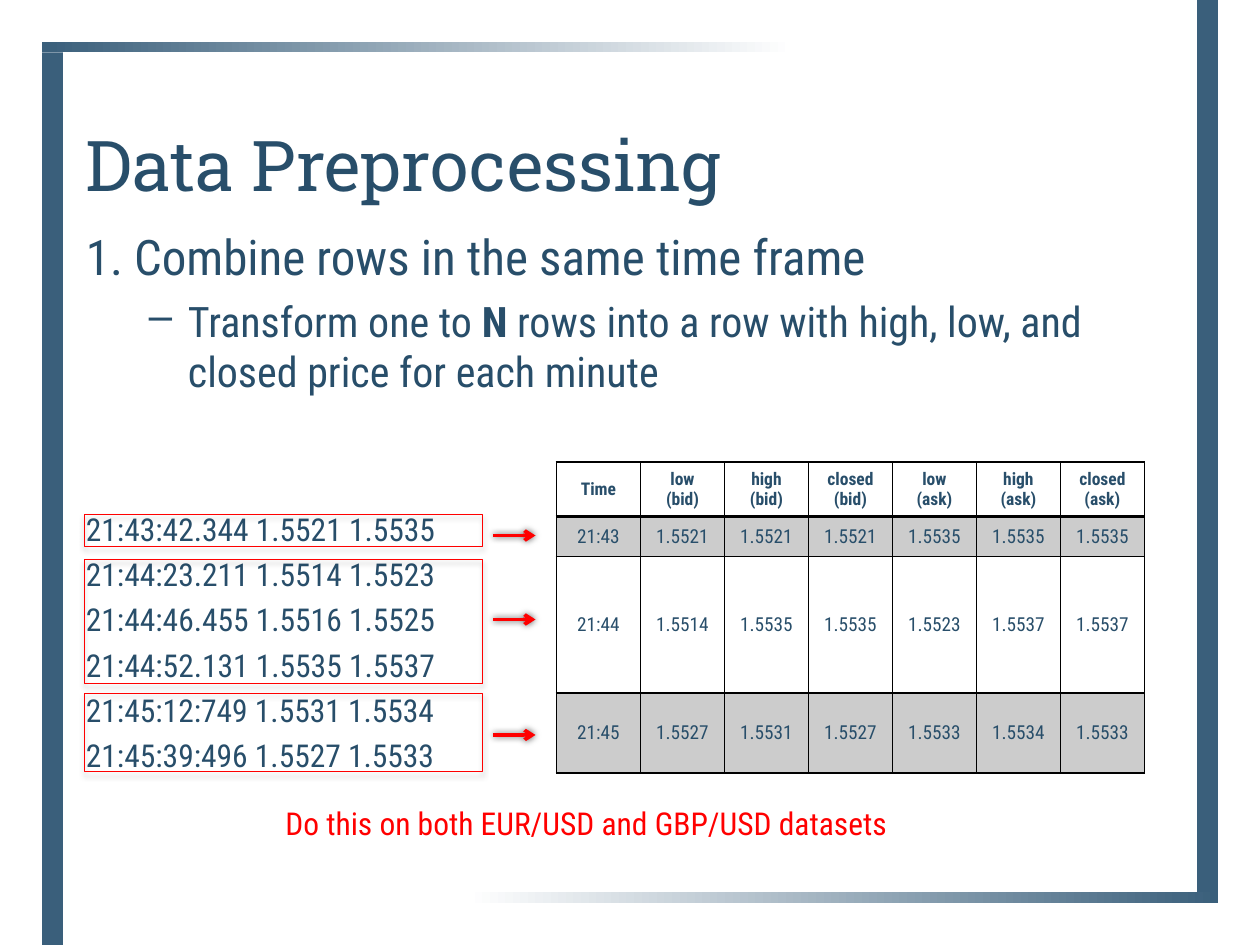
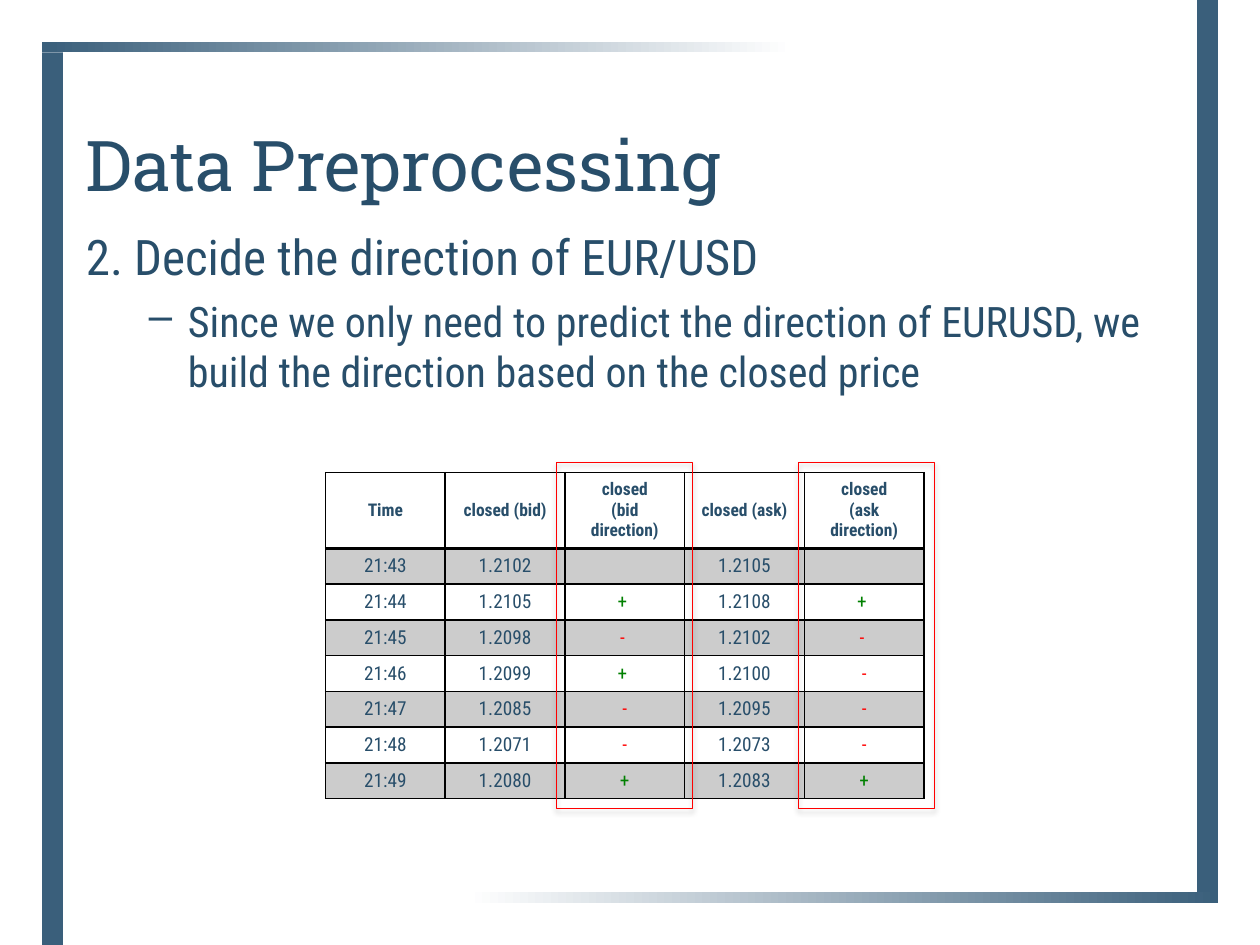
from pptx import Presentation
from pptx.dml.color import RGBColor
from pptx.enum.shapes import MSO_CONNECTOR, MSO_SHAPE
from pptx.enum.text import MSO_ANCHOR, PP_ALIGN
from pptx.oxml import parse_xml
from pptx.oxml.ns import nsdecls
from pptx.util import Inches, Pt

HEADING_FONT = "Roboto Slab"
BODY_FONT = "Roboto Condensed"
INK, FRAME, RED, GREEN = "284E6A", "3A5F7B", "FF0000", "008000"
BLACK, WHITE, STRIPE = "000000", "FFFFFF", "CCCCCC"

TICKS = [
    "21:43:42.344 1.5521 1.5535",
    "21:44:23.211 1.5514 1.5523",
    "21:44:46.455 1.5516 1.5525",
    "21:44:52.131 1.5535 1.5537",
    "21:45:12:749 1.5531 1.5534",
    "21:45:39:496 1.5527 1.5533",
]
MINUTE_PRICES = [
    ["Time", "low (bid)", "high (bid)", "closed (bid)",
     "low (ask)", "high (ask)", "closed (ask)"],
    ["21:43", "1.5521", "1.5521", "1.5521", "1.5535", "1.5535", "1.5535"],
    ["21:44", "1.5514", "1.5535", "1.5535", "1.5523", "1.5537", "1.5537"],
    ["21:45", "1.5527", "1.5531", "1.5527", "1.5533", "1.5534", "1.5533"],
]
DIRECTIONS = [
    ["Time", "closed (bid)", "closed\n(bid direction)",
     "closed (ask)", "closed\n(ask direction)"],
    ["21:43", "1.2102", "", "1.2105", ""],
    ["21:44", "1.2105", "+ ", "1.2108", "+ "],
    ["21:45", "1.2098", "- ", "1.2102", "- "],
    ["21:46", "1.2099", "+ ", "1.2100", "-"],
    ["21:47", "1.2085", "-", "1.2095", "-"],
    ["21:48", "1.2071", "-", "1.2073", "-"],
    ["21:49", "1.2080", "+", "1.2083", "+"],
]
SIGN_COLORS = {"+": GREEN, "-": RED}


def grid(units):
    """Length of a number of grid units, twelve to the inch."""
    return Inches(units / 12)


def rgb(color):
    return RGBColor.from_string(color)


def write(paragraph, text, size, font=BODY_FONT, color=INK, bold=False,
          align=PP_ALIGN.LEFT, spaced=False):
    """Fill a paragraph; a part between asterisks is bold."""
    paragraph.alignment = align
    if spaced:
        paragraph.space_before = Pt(round(size * 0.234, 1))
    for position, part in enumerate(text.split("*")):
        if part:
            run = paragraph.add_run()
            run.text = part
            run.font.name = font
            run.font.size = Pt(size)
            run.font.bold = bold or position % 2 == 1
            run.font.color.rgb = rgb(color)
    if not text:
        paragraph._p.get_or_add_endParaRPr().set("sz", str(size * 100))


def write_lines(frame, lines, **text_format):
    for number, line in enumerate(lines):
        paragraph = frame.add_paragraph() if number else frame.paragraphs[0]
        write(paragraph, line, **text_format)


def add_text(slide, area, lines, anchor=MSO_ANCHOR.TOP, **text_format):
    frame = slide.shapes.add_textbox(*map(grid, area)).text_frame
    frame.word_wrap = True
    frame.vertical_anchor = anchor
    write_lines(frame, lines, **text_format)
    return frame


def add_dash(paragraph):
    """Make the paragraph a hanging second-level item."""
    properties = paragraph._p.get_or_add_pPr()
    properties.set("marL", str(Inches(0.81)))
    properties.set("indent", str(Inches(-0.31)))
    properties.append(parse_xml(f'<a:buChar {nsdecls("a")} char="–"/>'))


def add_shadow(shape, opacity, blur, distance, angle):
    shape._element.spPr.append(parse_xml(
        f'<a:effectLst {nsdecls("a")}>'
        f'<a:outerShdw blurRad="{Pt(blur)}" dist="{Pt(distance)}" '
        f'dir="{angle * 60000}" rotWithShape="0">'
        f'<a:srgbClr val="{BLACK}"><a:alpha val="{opacity * 1000}"/>'
        '</a:srgbClr></a:outerShdw></a:effectLst>'))


def add_band(slide, area, fade_angle=None):
    """Frame bar, solid or fading to white along the given angle."""
    band = slide.shapes.add_shape(MSO_SHAPE.RECTANGLE, *map(grid, area))
    band.shadow.inherit = False
    band.line.fill.background()
    if fade_angle is None:
        band.fill.solid()
        band.fill.fore_color.rgb = rgb(FRAME)
        return
    band.fill.gradient()
    band.fill.gradient_angle = fade_angle
    for stop, color, position in zip(band.fill.gradient_stops,
                                     (FRAME, WHITE), (0, 0.65)):
        stop.color.rgb = rgb(color)
        stop.position = position


def add_highlight(slide, area):
    box = slide.shapes.add_shape(MSO_SHAPE.RECTANGLE, *map(grid, area))
    box.fill.background()
    box.line.color.rgb = rgb(RED)
    box.line.width = Pt(0.5)
    add_shadow(box, opacity=35, blur=3.1, distance=2, angle=90)


def add_arrow(slide, left, right, y):
    arrow = slide.shapes.add_connector(
        MSO_CONNECTOR.STRAIGHT, *map(grid, (left, y, right, y)))
    arrow.line.color.rgb = rgb(RED)
    arrow.line.width = Pt(2)
    arrow.line._get_or_add_ln().append(
        parse_xml(f'<a:tailEnd {nsdecls("a")} type="arrow"/>'))
    add_shadow(arrow, opacity=64, blur=4, distance=0, angle=0)


def add_borders(cell, bottom):
    properties = cell._tc.get_or_add_tcPr()
    for side, width in zip("LRTB", (1, 1, 1, bottom)):
        properties.append(parse_xml(
            f'<a:ln{side} {nsdecls("a")} w="{Pt(width)}"><a:solidFill>'
            f'<a:srgbClr val="{BLACK}"/></a:solidFill></a:ln{side}>'))


def add_price_table(slide, left, top, column_width, row_heights, rows):
    columns = len(rows[0])
    table = slide.shapes.add_table(
        len(rows), columns, grid(left), grid(top),
        grid(column_width * columns), grid(sum(row_heights))).table
    table.first_row = table.horz_banding = False
    for column in table.columns:
        column.width = grid(column_width)
    for r, (height, values) in enumerate(zip(row_heights, rows)):
        table.rows[r].height = grid(height)
        header = r == 0
        for c, value in enumerate(values):
            cell = table.cell(r, c)
            cell.vertical_anchor = MSO_ANCHOR.MIDDLE
            add_borders(cell, bottom=2 if header else 1)
            if r % 2:
                cell.fill.solid()
                cell.fill.fore_color.rgb = rgb(STRIPE)
            else:
                cell.fill.background()
            write_lines(cell.text_frame, value.split("\n"),
                        size=10 if header else 11, bold=header,
                        color=SIGN_COLORS.get(value.strip(), INK),
                        align=PP_ALIGN.CENTER)


def add_step_slide(deck, step, detail):
    """Slide with the shared frame and title, a step and its detail."""
    slide = deck.slides.add_slide(deck.slide_layouts[6])
    add_band(slide, (114, 0, 2, 85))
    add_band(slide, (4, 5, 2, 85))
    add_band(slide, (6, 85, 110, 1), fade_angle=180)
    add_band(slide, (4, 4, 110, 1), fade_angle=0)
    add_text(slide, (7, 6, 106, 14.2), ["Data Preprocessing"],
             anchor=MSO_ANCHOR.BOTTOM, size=40, font=HEADING_FONT)
    body = add_text(slide, (7, 21, 106, 58), [step], size=28, spaced=True)
    item = body.add_paragraph()
    write(item, detail, size=24, spaced=True)
    add_dash(item)
    return slide


def build_combine_slide(deck):
    slide = add_step_slide(
        deck, "1. Combine rows in the same time frame",
        "Transform one to *N* rows into a row with high, low, and "
        "closed price for each minute")
    add_text(slide, (7, 48, 44, 28), TICKS, size=18, spaced=True)
    minutes = [(49, 3, 51), (53.3, 11.75, 59), (66, 7.5, 70)]
    for top, height, arrow_y in minutes:
        add_highlight(slide, (8, top, 38, height))
        add_arrow(slide, 47, 51, arrow_y)
    add_price_table(slide, 53, 44, 8, [5, 3.8, 13, 7.6], MINUTE_PRICES)
    add_text(slide, (26, 76, 70, 4.8),
             ["Do this on both EUR/USD and GBP/USD datasets"],
             size=18, color=RED)


def build_direction_slide(deck):
    slide = add_step_slide(
        deck, "2. Decide the direction of EUR/USD",
        "Since we only need to predict the direction of EURUSD, we "
        "build the direction based on the closed price")
    price_rows = len(DIRECTIONS) - 1
    add_price_table(slide, 31, 45, 11.4, [7] + [3.35] * price_rows, DIRECTIONS)
    for left in (53, 76):
        add_highlight(slide, (left, 44, 13, 33))


def main():
    deck = Presentation()
    deck.slide_width, deck.slide_height = grid(120), grid(90)
    build_combine_slide(deck)
    build_direction_slide(deck)
    deck.save("out.pptx")


if __name__ == "__main__":
    main()
